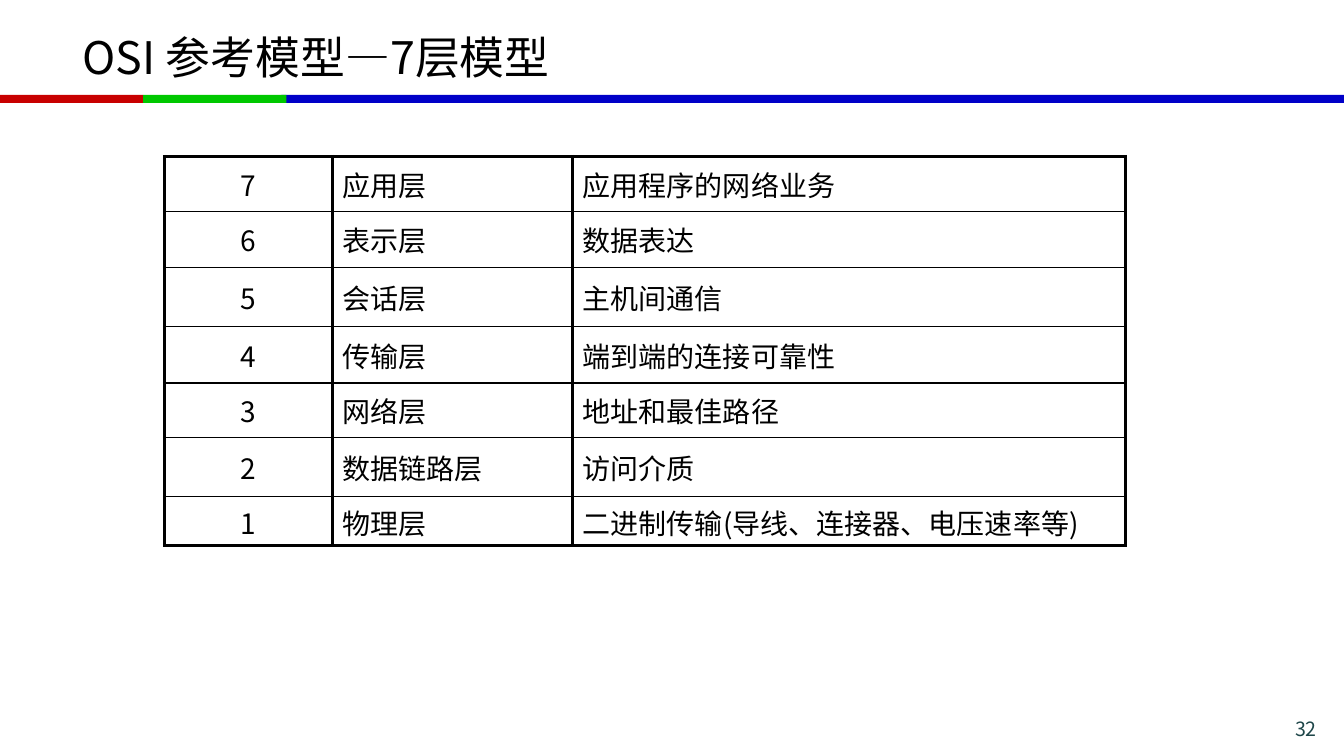
from lxml import etree
from pptx import Presentation
from pptx.dml.color import RGBColor
from pptx.enum.shapes import MSO_SHAPE
from pptx.enum.text import MSO_ANCHOR, PP_ALIGN
from pptx.oxml.ns import qn
from pptx.util import Inches, Pt

FONT = "Noto Sans CJK SC"
COLORS = {
    "text": "000000",
    "page_number": "1E4649",
    "red": "C80000",
    "green": "00C800",
    "blue": "0000C8",
}
THIN, THICK = 1, 2.25


def write_text(frame, text, size, color, align=PP_ALIGN.LEFT):
    """Fill a text frame with one paragraph, using FONT for Latin and Chinese."""
    paragraph = frame.paragraphs[0]
    run = paragraph.add_run()
    run.text = text
    paragraph.alignment = align
    run.font.name = FONT
    run.font.size = Pt(size)
    run.font.color.rgb = RGBColor.from_string(COLORS[color])
    east_asian = etree.SubElement(run.font._element, qn("a:ea"))
    east_asian.set("typeface", FONT)


def add_border(cell, side, width):
    line = etree.SubElement(cell._tc.get_or_add_tcPr(), qn(f"a:ln{side}"))
    line.set("w", str(Pt(width)))
    fill = etree.SubElement(line, qn("a:solidFill"))
    etree.SubElement(fill, qn("a:srgbClr")).set("val", COLORS["text"])


presentation = Presentation()
presentation.slide_width = Inches(13.33)
presentation.slide_height = Inches(7.5)
slide = presentation.slides.add_slide(presentation.slide_layouts[6])

# Coloured rule under the title
for color, left, width in [("blue", 2.79, 10.54), ("red", 0, 1.42), ("green", 1.42, 1.42)]:
    bar = slide.shapes.add_shape(
        MSO_SHAPE.RECTANGLE, Inches(left), Inches(0.94), Inches(width), Inches(0.08))
    bar.shadow.inherit = False
    bar.fill.solid()
    bar.fill.fore_color.rgb = RGBColor.from_string(COLORS[color])
    bar.line.fill.background()

title = slide.shapes.add_textbox(Inches(0.72), Inches(0), Inches(11.88), Inches(1.12))
title.text_frame.word_wrap = True
title.text_frame.vertical_anchor = MSO_ANCHOR.MIDDLE
write_text(title.text_frame, "OSI 参考模型—7层模型", 32, "text")

# The seven layers, from top to bottom
layers = [
    ("应用层", "应用程序的网络业务"),
    ("表示层", "数据表达"),
    ("会话层", "主机间通信"),
    ("传输层", "端到端的连接可靠性"),
    ("网络层", "地址和最佳路径"),
    ("数据链路层", "访问介质"),
    ("物理层", "二进制传输(导线、连接器、电压速率等)"),
]
column_widths = [1.67, 2.38, 5.48]
row_heights = [0.55, 0.55, 0.59, 0.56, 0.54, 0.59, 0.48]

table = slide.shapes.add_table(
    len(layers), len(column_widths), Inches(1.63), Inches(1.55),
    Inches(sum(column_widths)), Inches(sum(row_heights))).table
table.first_row = False
table.horz_banding = False
for column, width in zip(table.columns, column_widths):
    column.width = Inches(width)
for row, height in zip(table.rows, row_heights):
    row.height = Inches(height)

last = len(layers) - 1
for row_index, (name, purpose) in enumerate(layers):
    number = str(len(layers) - row_index)
    for column_index, text in enumerate([number, name, purpose]):
        cell = table.cell(row_index, column_index)
        cell.vertical_anchor = MSO_ANCHOR.MIDDLE
        align = PP_ALIGN.CENTER if column_index == 0 else PP_ALIGN.LEFT
        write_text(cell.text_frame, text, 20, "text", align)
        add_border(cell, "L", THICK)
        add_border(cell, "R", THICK)
        add_border(cell, "T", THICK if row_index == 0 else THIN)
        add_border(cell, "B", THICK if row_index == last else THIN)
        cell.fill.background()

page_number = slide.shapes.add_textbox(Inches(11.86), Inches(7.06), Inches(1.3), Inches(0.28))
page_number.text_frame.word_wrap = True
write_text(page_number.text_frame, "32", 14, "page_number", PP_ALIGN.RIGHT)

presentation.save("out.pptx")
